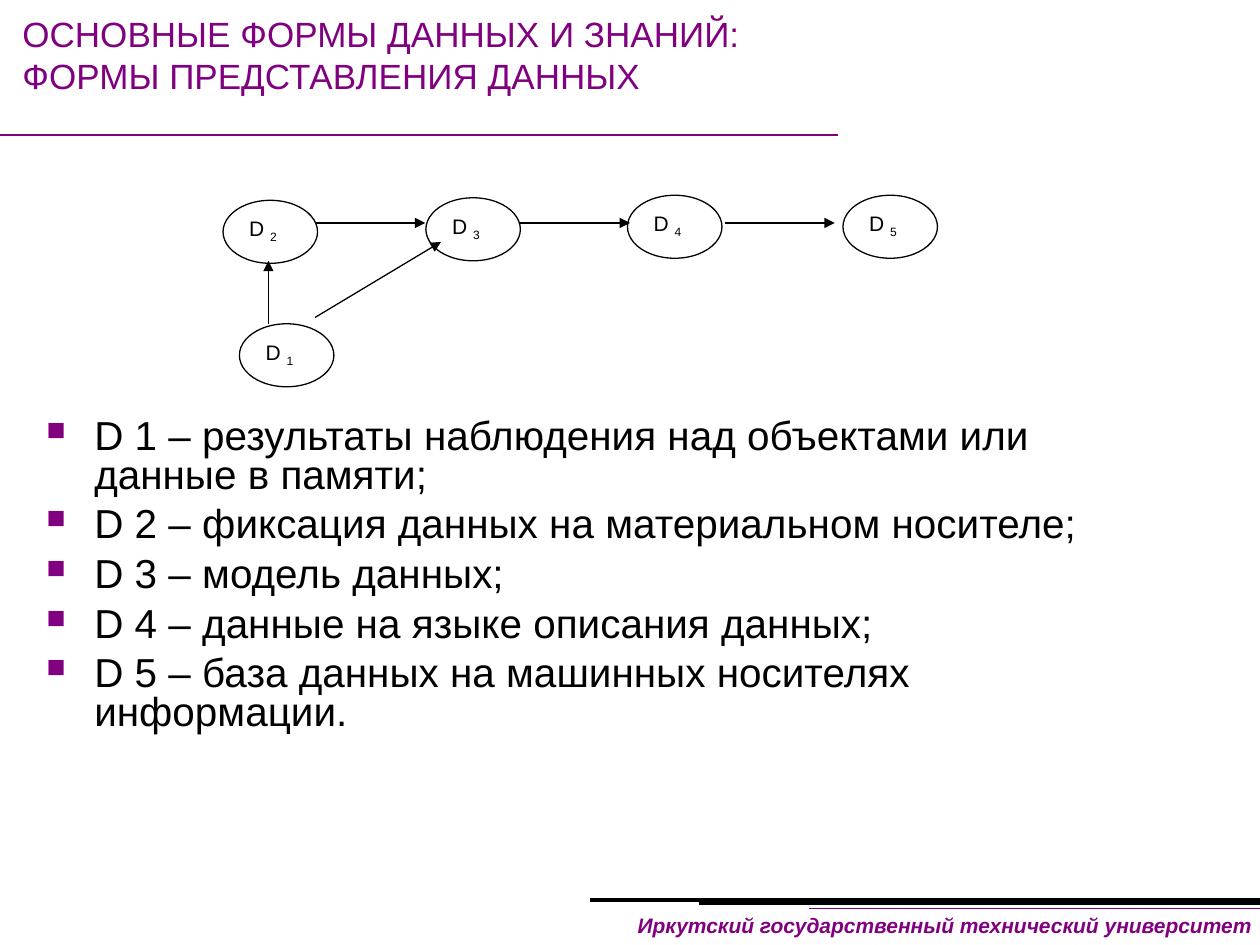
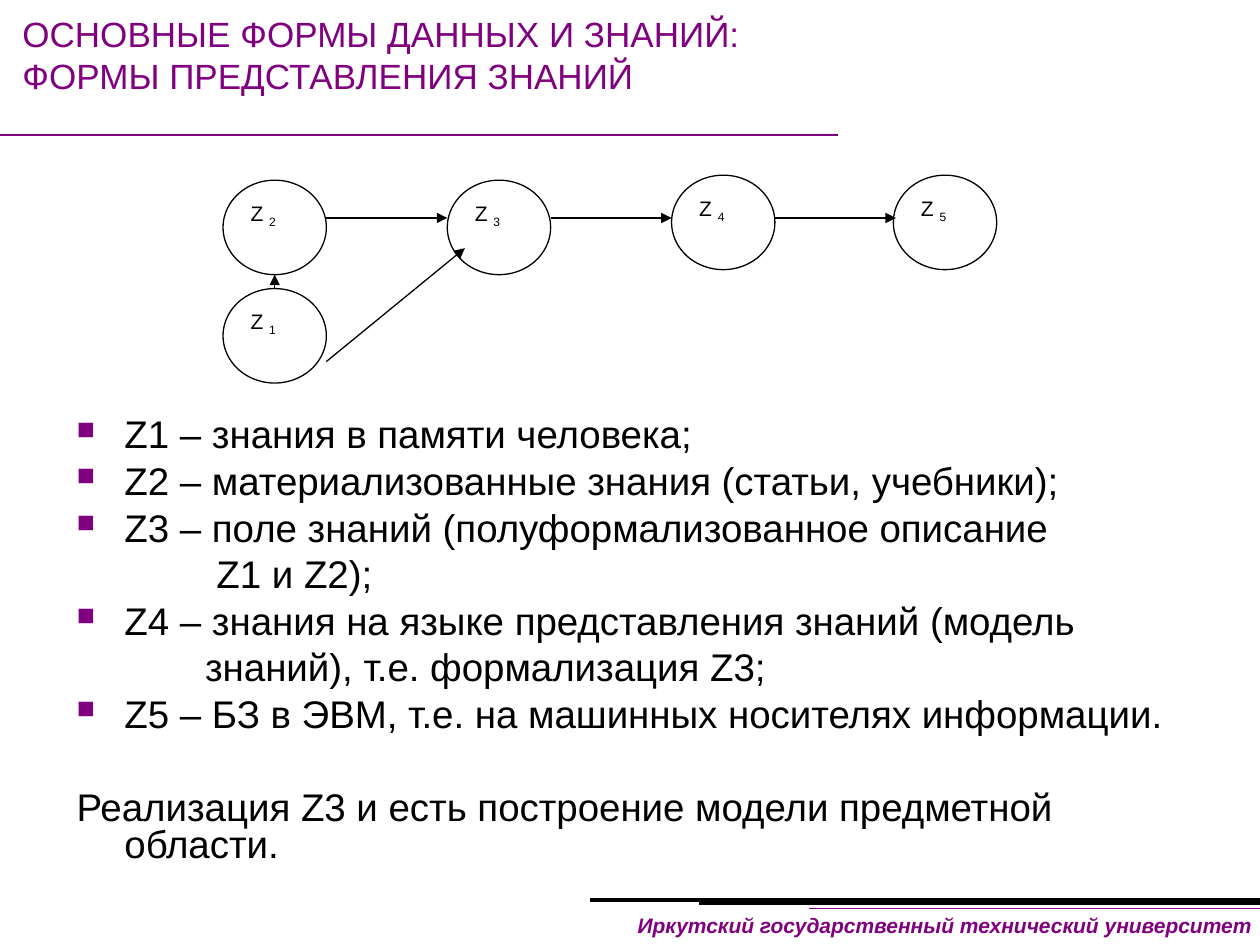
"""Build two slides on the forms in which data and knowledge are represented."""
from dataclasses import dataclass

from lxml.etree import SubElement
from pptx import Presentation
from pptx.dml.color import RGBColor
from pptx.enum.shapes import MSO_CONNECTOR, MSO_SHAPE
from pptx.enum.text import MSO_ANCHOR, PP_ALIGN
from pptx.oxml.ns import qn
from pptx.util import Inches, Pt


@dataclass(frozen=True)
class Theme:
    font: str = "Arial"
    accent: str = "800080"
    ink: str = "000000"
    paper: str = "FFFFFF"
    title_size: float = 20
    label_size: float = 12
    arrow_width: float = 0.75
    line_spacing: float = 0.8
    bullet_share: int = 65


THEME = Theme()
COLUMNS, ROWS = 100, 75
CELL = Inches(0.1)
HANGING = 3.8
FOOTER = "Иркутский государственный технический университет"
RULES = [
    ((0, 10.7), (66.5, 10.7), THEME.accent, 1),
    ((64.2, 72.1), (COLUMNS, 72.1), THEME.accent, 1),
    ((55.5, 71.7), (COLUMNS, 71.7), THEME.ink, 1.5),
    ((46.8, 71.4), (COLUMNS, 71.4), THEME.ink, 2.25),
]

SLIDES = [
    {
        "title": "ОСНОВНЫЕ ФОРМЫ ДАННЫХ И ЗНАНИЙ:\vФОРМЫ ПРЕДСТАВЛЕНИЯ ДАННЫХ",
        "letter": "D",
        "node_size": (7.5, 5),
        "nodes": [(19, 25.7), (17.7, 15.9), (33.8, 15.7), (49.8, 15.5), (66.9, 15.5)],
        "chain": {"start": 25, "row": 17.7, "step": 16.25, "length": 8.75},
        "branches": [((21.3, 25.7), (21.3, 20.7)), ((25, 25.2), (35, 19.2))],
        "body": (2.7, 32.8, 90, 29.1),
        "size": 23.1,
        "gap": 6.2,
        "items": [
            ("D 1 – результаты наблюдения над объектами или данные в памяти;", True, HANGING),
            ("D 2 – фиксация данных на материальном носителе;", True, HANGING),
            ("D 3 – модель данных;", True, HANGING),
            ("D 4 – данные на языке описания данных;", True, HANGING),
            ("D 5 – база данных на машинных носителях информации.", True, HANGING),
        ],
    },
    {
        "title": "ОСНОВНЫЕ ФОРМЫ ДАННЫХ И ЗНАНИЙ:\vФОРМЫ ПРЕДСТАВЛЕНИЯ ЗНАНИЙ",
        "letter": "Z",
        "node_size": (8.2, 7.5),
        "nodes": [(17.7, 22.9), (17.7, 14.3), (35.5, 14.3), (53.3, 13.9), (70.9, 13.9)],
        "chain": {"start": 25.9, "row": 17.3, "step": 17.8, "length": 9.6},
        "branches": [((21.8, 22.9), (21.8, 21.8)), ((25.9, 28.7), (36.9, 19.7))],
        "body": (5.1, 32.8, 90, 37),
        "size": 22,
        "gap": 5.5,
        "items": [
            ("Z1 – знания в памяти человека;", True, HANGING),
            ("Z2 – материализованные знания (статьи, учебники);", True, HANGING),
            ("Z3 – поле знаний (полуформализованное описание", True, HANGING),
            ("Z1 и Z2);", False, 11.1),
            ("Z4 – знания на языке представления знаний (модель", True, HANGING),
            ("знаний), т.е. формализация Z3;", False, 10.2),
            ("Z5 – БЗ в ЭВМ, т.е. на машинных носителях информации.", True, HANGING),
            ("Реализация Z3 и есть построение модели предметной области.", False, HANGING),
        ],
    },
]


def add_line(page, start, end, color, width, arrow=False):
    ends = [round(value * CELL) for value in (*start, *end)]
    line = page.shapes.add_connector(MSO_CONNECTOR.STRAIGHT, *ends)
    line.line.color.rgb = RGBColor.from_string(color)
    line.line.width = Pt(width)
    if arrow:
        SubElement(line.line._get_or_add_ln(), qn("a:tailEnd"), type="triangle")
    SubElement(line._element.spPr, qn("a:effectLst"))


def add_text(page, area, texts, size, color, oval=False):
    area = [round(value * CELL) for value in area]
    if oval:
        box = page.shapes.add_shape(MSO_SHAPE.OVAL, *area)
        box.shadow.inherit = False
        box.fill.solid()
        box.fill.fore_color.rgb = RGBColor.from_string(THEME.paper)
        box.line.color.rgb = RGBColor.from_string(THEME.ink)
        box.line.width = Pt(THEME.arrow_width)
    else:
        box = page.shapes.add_textbox(*area)
    frame = box.text_frame
    frame.word_wrap = True
    frame.vertical_anchor = MSO_ANCHOR.TOP
    frame.text = "\n".join(texts)
    for para in frame.paragraphs:
        para.alignment = PP_ALIGN.LEFT
        for span in para.runs:
            span.font.name = THEME.font
            span.font.size = Pt(size)
            span.font.color.rgb = RGBColor.from_string(color)
    return box


deck = Presentation()
deck.slide_width, deck.slide_height = COLUMNS * CELL, ROWS * CELL

for content in SLIDES:
    page = deck.slides.add_slide(deck.slide_layouts[6])

    for start, end, color, width in RULES:
        add_line(page, start, end, color, width)
    footer = add_text(page, (49.4, 71.9, 51, 3), [FOOTER], THEME.label_size, THEME.accent)
    footer.text_frame.word_wrap = False
    footer_para = footer.text_frame.paragraphs[0]
    footer_para.alignment = PP_ALIGN.RIGHT
    footer_para.runs[0].font.bold = True
    footer_para.runs[0].font.italic = True

    add_text(page, (0.8, 0.5, 99.6, 6.1), [content["title"]], THEME.title_size, THEME.accent)

    items = content["items"]
    body = add_text(page, content["body"], [item[0] for item in items], content["size"], THEME.ink)
    for index, (para, (text, bulleted, indent)) in enumerate(zip(body.text_frame.paragraphs, items)):
        para.line_spacing = THEME.line_spacing
        if index:
            para.space_before = Pt(content["gap"])
        properties = para._p.get_or_add_pPr()
        properties.set("marL", str(round(indent * CELL)))
        if indent == HANGING:
            properties.set("indent", str(round(-HANGING * CELL)))
        if bulleted:
            bullet_color = SubElement(properties, qn("a:buClr"))
            SubElement(bullet_color, qn("a:srgbClr"), val=THEME.accent)
            SubElement(properties, qn("a:buSzPct"), val=str(THEME.bullet_share * 1000))
            SubElement(properties, qn("a:buChar"), char="■")
        elif indent == HANGING:
            para.space_before = Pt(content["gap"] + 26.6)

    for number, corner in enumerate(content["nodes"], start=1):
        area = (*corner, *content["node_size"])
        node = add_text(page, area, [content["letter"] + " "], THEME.label_size, THEME.ink, oval=True)
        span = node.text_frame.paragraphs[0].add_run()
        span.text = str(number)
        span.font.name = THEME.font
        span.font.size = Pt(THEME.label_size)
        span.font.color.rgb = RGBColor.from_string(THEME.ink)
        span.font._element.set("baseline", "-25000")

    chain = content["chain"]
    arrows = list(content["branches"])
    for link in range(3):
        left = chain["start"] + link * chain["step"]
        arrows.append(((left, chain["row"]), (left + chain["length"], chain["row"])))
    for start, end in arrows:
        add_line(page, start, end, THEME.ink, THEME.arrow_width, arrow=True)

deck.save("out.pptx")
